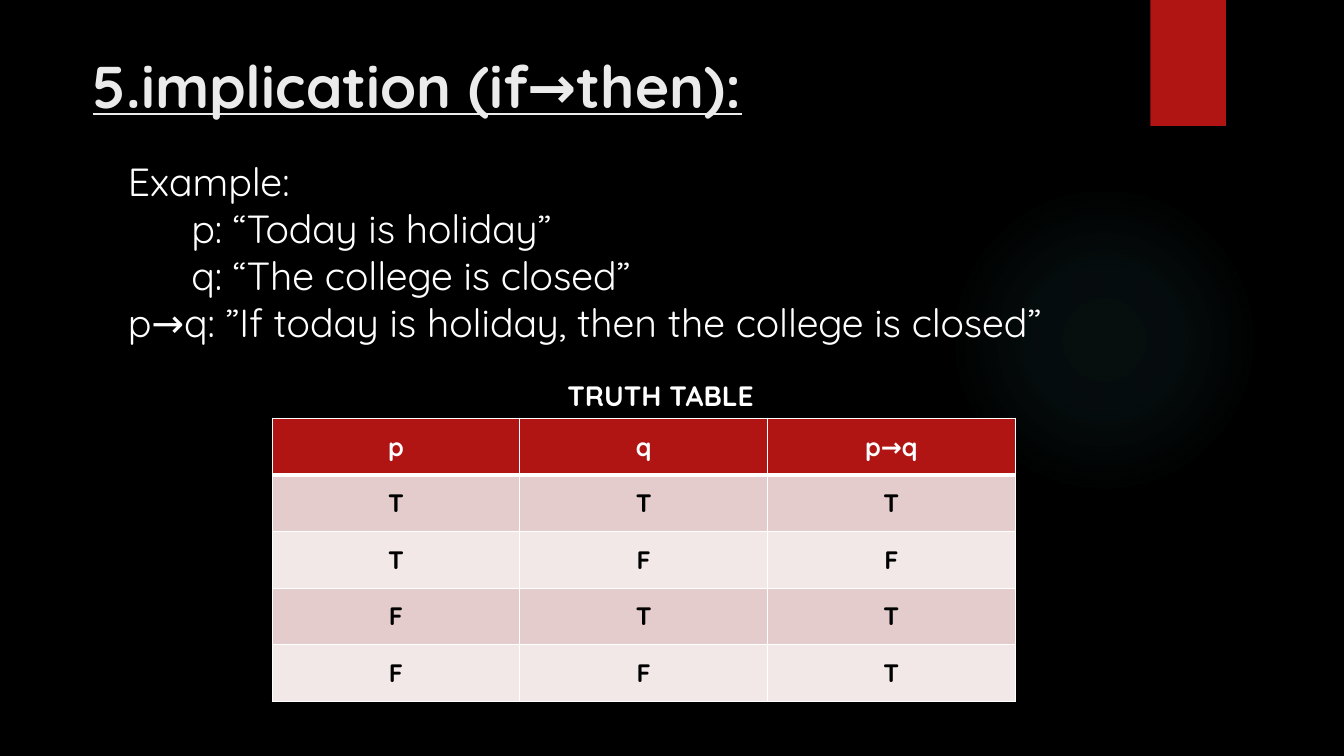
from lxml import etree
from pptx import Presentation
from pptx.dml.color import RGBColor
from pptx.enum.shapes import MSO_SHAPE
from pptx.enum.text import MSO_ANCHOR, PP_ALIGN
from pptx.oxml.ns import qn
from pptx.util import Inches, Pt

TITLE = "5.implication (if→then):"
EXAMPLE = [
    ("Example:", 0),
    ("p: “Today is holiday”", 0.63),
    ("q: “The college is closed”", 0.63),
    ("p→q: ”If today is holiday, then the college is closed”", 0),
]
TABLE_TITLE = "TRUTH TABLE"
TRUTH_ROWS = [
    ("p", "q", "p→q"),
    ("T", "T", "T"),
    ("T", "F", "F"),
    ("F", "T", "T"),
    ("F", "F", "T"),
]
GLOW_STOPS = [(0, 7), (36, 6), (69, 0)]

FONT = "Quicksand"
BLACK = RGBColor(0x00, 0x00, 0x00)
WHITE = RGBColor(0xFF, 0xFF, 0xFF)
OFF_WHITE = RGBColor(0xEB, 0xEB, 0xEB)
RED = RGBColor(0xB0, 0x15, 0x13)
DARK_BAND = RGBColor(0xE4, 0xCC, 0xCC)
LIGHT_BAND = RGBColor(0xF2, 0xE8, 0xE7)
GLOW = RGBColor(0x50, 0xB9, 0xC1)
CENTER = PP_ALIGN.CENTER
MIDDLE = MSO_ANCHOR.MIDDLE
OVAL = MSO_SHAPE.OVAL
RECTANGLE = MSO_SHAPE.RECTANGLE


def style(para, size, color, bold=False, underline=None):
    font = para.font
    font.name, font.size, font.bold = FONT, Pt(size), bold
    font.underline = underline
    font.color.rgb = color


def add_text(page, place, lines, size, color, bold=False, underline=None):
    box = page.shapes.add_textbox(*map(Inches, place))
    frame = box.text_frame
    frame.word_wrap = True
    for index, (text, indent) in enumerate(lines):
        para = frame.add_paragraph() if index else frame.paragraphs[0]
        para.text = text
        style(para, size, color, bold, underline)
        if indent:
            properties = para._p.get_or_add_pPr()
            properties.set("marL", str(Inches(indent)))
            properties.set("indent", "0")


def add_plain_shape(page, kind, place):
    shape = page.shapes.add_shape(kind, *map(Inches, place))
    shape.shadow.inherit = False
    shape.line.fill.background()
    return shape


def add_color(parent, color, alpha=None):
    node = etree.SubElement(parent, qn("a:srgbClr"), val=str(color))
    if alpha is not None:
        etree.SubElement(node, qn("a:alpha"), val=str(alpha * 1000))


def add_glow(page):
    shape = add_plain_shape(page, OVAL, (9.41, 1.83, 3.08, 3.08))
    gradient = etree.Element(qn("a:gradFill"))
    stops = etree.SubElement(gradient, qn("a:gsLst"))
    for position, alpha in GLOW_STOPS:
        stop = etree.SubElement(stops, qn("a:gs"), pos=str(position * 1000))
        add_color(stop, GLOW, alpha)
    circle = etree.SubElement(gradient, qn("a:path"), path="circle")
    etree.SubElement(circle, qn("a:fillToRect"),
                     {side: "50000" for side in "ltrb"})
    shape._element.spPr.find(qn("a:prstGeom")).addnext(gradient)


def add_borders(cell, widths):
    properties = cell._tc.get_or_add_tcPr()
    for side, width in zip("LRTB", widths):
        line = etree.SubElement(properties, qn("a:ln" + side), w=str(Pt(width)))
        add_color(etree.SubElement(line, qn("a:solidFill")), WHITE)


def add_truth_table(page):
    row_count, column_count = len(TRUTH_ROWS), len(TRUTH_ROWS[0])
    place = map(Inches, (2.7, 4.15, 7.37, 2.81))
    table = page.shapes.add_table(row_count, column_count, *place).table
    for row, values in enumerate(TRUTH_ROWS):
        if row == 0:
            fill, color, widths = RED, WHITE, (1, 1, 1, 3)
        else:
            fill = DARK_BAND if row % 2 else LIGHT_BAND
            color = BLACK
            widths = (1, 1, 3 if row == 1 else 1, 1)
        for column, value in enumerate(values):
            cell = table.cell(row, column)
            add_borders(cell, widths)
            cell.fill.solid()
            cell.fill.fore_color.rgb = fill
            cell.vertical_anchor = MIDDLE
            cell.text = value
            para = cell.text_frame.paragraphs[0]
            para.alignment = CENTER
            style(para, 18, color, bold=True)


def main():
    deck = Presentation()
    deck.slide_width, deck.slide_height = Inches(13.33), Inches(7.5)
    page = deck.slides.add_slide(deck.slide_layouts[6])
    page.background.fill.solid()
    page.background.fill.fore_color.rgb = BLACK

    add_glow(page)
    ribbon = add_plain_shape(page, RECTANGLE, (11.41, 0, 0.75, 1.25))
    ribbon.fill.solid()
    ribbon.fill.fore_color.rgb = RED

    add_text(page, (0.82, 0.44, 9.33, 0.98), [(TITLE, 0)], 42, OFF_WHITE,
             bold=True, underline=True)
    add_text(page, (1.17, 1.51, 11.56, 1.99), EXAMPLE, 28, WHITE)
    add_truth_table(page)
    add_text(page, (5.53, 3.71, 2.84, 0.44), [(TABLE_TITLE, 0)], 20, WHITE,
             bold=True)
    deck.save("out.pptx")


if __name__ == "__main__":
    main()
